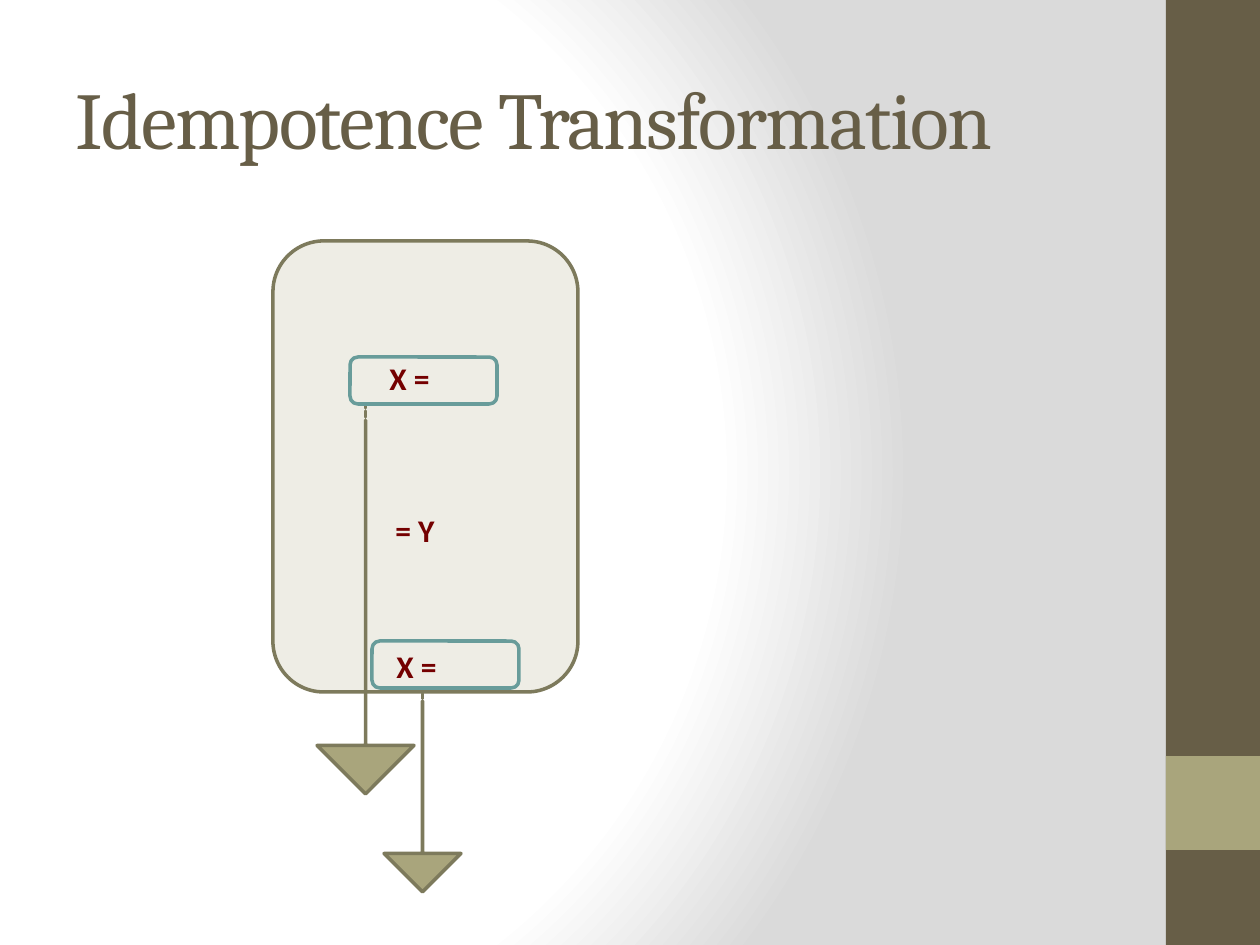
"""Build the Idempotence Transformation slide."""
from pptx import Presentation
from pptx import util as u
from pptx.dml.color import RGBColor
from pptx.enum import shapes, text
from pptx.oxml import parse_xml
from pptx.oxml.ns import nsdecls

KIND = shapes.MSO_SHAPE
TITLE = ("Idempotence Transformation", (63, 38, 1050, 158))
SIDEBAR = [((1166, 0, 94, 945), "675E47"), ((1166, 756, 94, 94), "A9A57C")]
BLOCK = (273, 241, 305, 451)
LABELS = [("X =", 377, 353), ("= Y", 383, 505), ("X =", 384, 641)]
LABEL_SIZE = (84, 50)
ARROWS = [(171, 551, 389, 97), (321, 752, 203, 77)]
FRAMES = [(350, 357), (372, 641)]
FRAME_SIZE = (147, 47)
OLIVE, TEAL = "7D7A5C", "689C9A"
STOPS = [(0, "FFFFFF"), (75, "FFFFFF"), (100, "DADADA")]


def px(length):
    return u.Emu(round(length * 914400 / 126))


def place(area):
    return [px(length) for length in area]


def color(value):
    return RGBColor.from_string(value)


def set_font(font, name, size, value, bold=False):
    font.name, font.size, font.bold = name, u.Pt(size), bold
    font.color.rgb = color(value)


def add_shape(page, kind, area, fill=None, line=None):
    shape = page.shapes.add_shape(kind, *place(area))
    shape.shadow.inherit = False
    if fill:
        shape.fill.solid()
        shape.fill.fore_color.rgb = color(fill)
    else:
        shape.fill.background()
    if line:
        shape.line.color.rgb = color(line)
        shape.line.width = u.Pt(2)
    else:
        shape.line.fill.background()
    return shape


def add_background(page):
    stops = "".join(
        f'<a:gs pos="{position * 1000}"><a:srgbClr val="{value}"/></a:gs>'
        for position, value in STOPS)
    page.element.cSld.insert(0, parse_xml(
        f'<p:bg {nsdecls("p", "a")}><p:bgPr><a:gradFill rotWithShape="1">'
        f'<a:gsLst>{stops}</a:gsLst><a:path path="circle">'
        '<a:fillToRect l="20000" t="50000" r="100000" b="50000"/></a:path>'
        '</a:gradFill><a:effectLst/></p:bgPr></p:bg>'))


def add_title(page):
    title = page.shapes.title
    wording, area = TITLE
    title.left, title.top, title.width, title.height = place(area)
    title.text_frame.text = wording
    title.text_frame.vertical_anchor = text.MSO_ANCHOR.MIDDLE
    para = title.text_frame.paragraphs[0]
    para.alignment = text.PP_ALIGN.LEFT
    span = para.runs[0]
    set_font(span.font, "Cambria", 46, "675E47")
    span.font._element.set("spc", "-100")


def add_label(page, wording, left, top):
    box = page.shapes.add_textbox(*place((left, top, *LABEL_SIZE)))
    frame = box.text_frame
    frame.word_wrap = True
    frame.auto_size = text.MSO_AUTO_SIZE.SHAPE_TO_FIT_TEXT
    frame.text = wording
    set_font(frame.paragraphs[0].runs[0].font, "Calibri", 18, "740000", True)


def main():
    deck = Presentation()
    deck.slide_width, deck.slide_height = px(1260), px(945)
    page = deck.slides.add_slide(deck.slide_layouts[5])
    add_background(page)
    for area, fill in SIDEBAR:
        add_shape(page, KIND.RECTANGLE, area, fill)
    add_title(page)
    add_shape(page, KIND.ROUNDED_RECTANGLE, BLOCK, "EEEDE5", OLIVE)
    for label in LABELS:
        add_label(page, *label)
    for area in ARROWS:
        arrow = add_shape(page, KIND.STRIPED_RIGHT_ARROW, area, "A9A57C", OLIVE)
        arrow.rotation = 90
        arrow.adjustments[0], arrow.adjustments[1] = 0, 0.5
    for corner in FRAMES:
        add_shape(page, KIND.FLOWCHART_ALTERNATE_PROCESS,
                  (*corner, *FRAME_SIZE), line=TEAL)
    deck.save("out.pptx")


if __name__ == "__main__":
    main()
